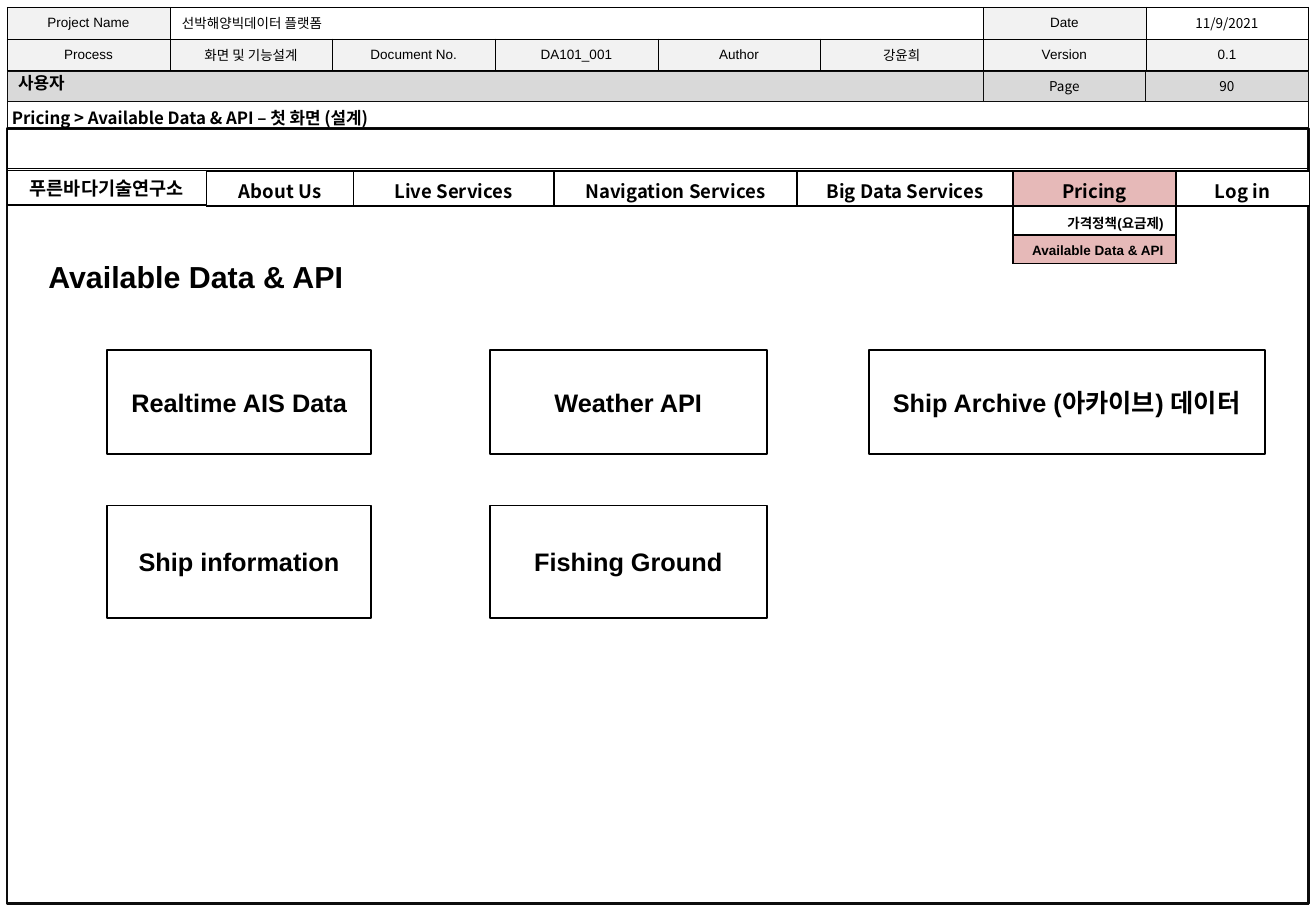
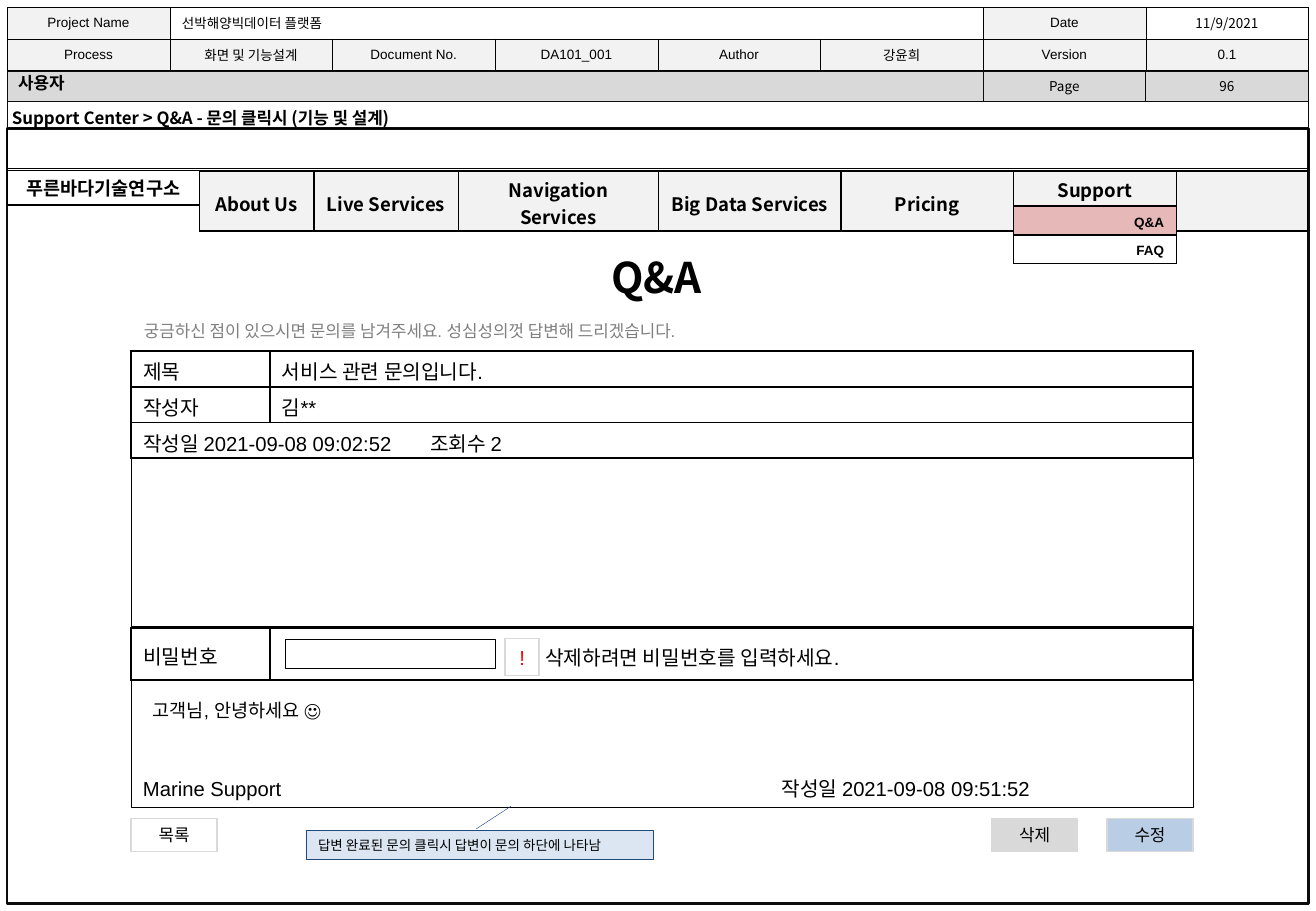
from dataclasses import dataclass

from lxml import etree
from pptx import Presentation
from pptx.dml.color import RGBColor
from pptx.enum.shapes import MSO_SHAPE
from pptx.enum.text import MSO_ANCHOR, PP_ALIGN
from pptx.oxml.ns import qn
from pptx.util import Cm, Pt

RECT, CALLOUT = MSO_SHAPE.RECTANGLE, MSO_SHAPE.LINE_CALLOUT_1
LEFT, CENTER, RIGHT, JUSTIFY = (PP_ALIGN.LEFT, PP_ALIGN.CENTER, PP_ALIGN.RIGHT,
                                PP_ALIGN.JUSTIFY)
TOP, MIDDLE = MSO_ANCHOR.TOP, MSO_ANCHOR.MIDDLE


@dataclass(frozen=True)
class Theme:
    latin: str = "Arial"
    korean: str = "Noto Sans CJK KR"
    black: str = "000000"
    frame: str = "0D0D0D"
    white: str = "FFFFFF"
    light: str = "F2F2F2"
    band: str = "D9D9D9"
    active: str = "E6B9B8"
    blue: str = "B9CDE5"
    note: str = "DCE6F2"
    note_line: str = "1F497D"
    gray: str = "808080"
    red: str = "FF0000"
    tiny: float = 8
    small: float = 10
    menu: float = 11
    menu_leading: float = 16
    body: float = 12
    card: float = 15
    heading: float = 18
    title: float = 25


T = Theme()


def style(tf, size, font=T.latin, color=T.black, bold=False, align=LEFT, leading=None):
    for p in tf.paragraphs:
        p.alignment = align
        if leading:
            p.line_spacing = Pt(leading)
        for r in p.runs:
            r.font.size = Pt(size)
            r.font.bold = bold
            r.font.color.rgb = RGBColor.from_string(color)
            r.font.name = font
            ea = etree.SubElement(r.font._element, qn("a:ea"))
            ea.set("typeface", T.korean)


def label(s, x, y, w, h, text, size, anchor=TOP, **text_style):
    tf = s.shapes.add_textbox(Cm(x), Cm(y), Cm(w), Cm(h)).text_frame
    tf.word_wrap = True
    tf.vertical_anchor = anchor
    tf.text = text
    style(tf, size, **text_style)
    return tf


def box(s, x, y, w, h, text="", size=T.small, fill=None, line=T.black, width=0.5,
        kind=RECT, anchor=MIDDLE, align=CENTER, **text_style):
    sp = s.shapes.add_shape(kind, Cm(x), Cm(y), Cm(w), Cm(h))
    sp.shadow.inherit = False
    if fill:
        sp.fill.solid()
        sp.fill.fore_color.rgb = RGBColor.from_string(fill)
    else:
        sp.fill.background()
    sp.line.color.rgb = RGBColor.from_string(line)
    sp.line.width = Pt(width)
    if text:
        tf = sp.text_frame
        tf.word_wrap = True
        tf.vertical_anchor = anchor
        tf.text = text
        style(tf, size, align=align, **text_style)
    return sp


def add_tab(p, position):
    tabs = etree.SubElement(p._p.get_or_add_pPr(), qn("a:tabLst"))
    etree.SubElement(tabs, qn("a:tab"), pos=str(Cm(position)), algn="l")


def set_borders(cell, width):
    tc_pr = cell._tc.get_or_add_tcPr()
    for side in ("a:lnL", "a:lnR", "a:lnT", "a:lnB"):
        ln = etree.SubElement(tc_pr, qn(side), w=str(Pt(width)))
        fill = etree.SubElement(ln, qn("a:solidFill"))
        etree.SubElement(fill, qn("a:srgbClr"), val=T.black)


def fill_cell(cell, color):
    if color:
        cell.fill.solid()
        cell.fill.fore_color.rgb = RGBColor.from_string(color)
    else:
        cell.fill.background()


def grid(s, x, y, cols, rows, texts, size, fill=None, border=1, pad=0.08, **text_style):
    """Add a bordered table; pad is the space above the text in a cell."""
    table = s.shapes.add_table(len(rows), len(cols), Cm(x), Cm(y),
                               Cm(sum(cols)), Cm(sum(rows))).table
    table.first_row = table.horz_banding = False
    for col, w in zip(table.columns, cols):
        col.width = Cm(w)
    for row, h, row_texts in zip(table.rows, rows, texts):
        row.height = Cm(h)
        for cell, text in zip(row.cells, row_texts):
            cell.margin_top, cell.margin_bottom = Cm(pad), 0
            cell.vertical_anchor = MIDDLE
            set_borders(cell, border)
            fill_cell(cell, fill)
            cell.text = text
            style(cell.text_frame, size, **text_style)
    return table


def document_header(s, x, y, page, breadcrumb):
    """Place the document table, the page band, the path and the screen frame."""
    w = 3.4
    band_y, band_h = y + 1.35, 0.61
    box(s, x, band_y, 8 * w, 17.4, line=T.frame, width=0.25)
    table = grid(s, x, y, [w] * 8, [0.66] * 2, [
        ["Project Name", "선박해양빅데이터 플랫폼", "", "", "", "", "Date", "11/9/2021"],
        ["Process", "화면 및 기능설계", "Document No.", "DA101_001", "Author", "강윤희",
         "Version", "0.1"],
    ], T.tiny, fill=T.light, border=0.25, pad=0, align=CENTER)
    project, date = table.cell(0, 1), table.cell(0, 7)
    project.merge(table.cell(0, 5))
    project.text_frame.paragraphs[0].alignment = LEFT
    date.text_frame.paragraphs[0].runs[0].font.name = T.korean
    for cell in (project, date):
        fill_cell(cell, None)

    band = dict(fill=T.band, line=T.frame, width=0.25, size=T.tiny, font=T.korean)
    box(s, x, band_y, 8 * w, band_h, **band)
    for col, text in ((6, "Page"), (7, page)):
        box(s, x + col * w, band_y, w, band_h, text, **band)
    box(s, x, y + 2.54, 8 * w, 16.2, fill=T.white, line=T.frame, width=1.5)
    box(s, x, y + 2.54, 8 * w, 0.84, width=0.25)
    bold = dict(size=T.small, font=T.korean, bold=True, align=JUSTIFY)
    label(s, x - 0.02, y + 1.25, 3.84, 0.69, "사용자", **bold)
    label(s, x - 0.15, y + 1.98, 22.56, 0.69, breadcrumb, **bold)


def navigation(s, x, y, brand_w, cols, bar_h, items, fill, open_item, submenu, active):
    """Place the brand, the menu bar and the submenu under the open item."""
    line_h = 0.73
    bold = dict(bold=True, font=T.korean)
    bar_x = x + brand_w
    bar = grid(s, bar_x, y, cols, [bar_h], [items], T.menu, fill=fill, align=CENTER,
               leading=T.menu_leading, **bold)
    box(s, x, y - 0.02, brand_w, line_h, "푸른바다기술연구소", T.menu, fill=T.white,
        width=0, **bold)
    menu = grid(s, bar_x + sum(cols[:open_item]), y + line_h, [cols[open_item]],
                [0.6] * len(submenu), [[text] for text in submenu], T.tiny,
                fill=T.white, bold=True, align=RIGHT)
    fill_cell(menu.cell(active, 0), T.active)
    return bar


def data_cards(s, x, y):
    label(s, x, y, 8.13, 1.02, "Available Data & API", T.heading, bold=True)
    cols = [(1.48, 5.52), (9.48, 5.79), (17.4, 8.28)]
    rows = [(2.04, 2.18), (5.29, 2.36)]
    cards = [["Realtime AIS Data", "Weather API", "Ship Archive (아카이브) 데이터"],
             ["Ship information", "Fishing Ground"]]
    for (dy, h), names in zip(rows, cards):
        for (dx, w), name in zip(cols, names):
            box(s, x + dx, y + dy, w, h, name, T.card, width=1, bold=True)


def question(s, x, y, w):
    """Place the title, the lead line and the posted question."""
    head_w = 2.9
    cols = [head_w, w - head_w]
    label(s, x + 7.29, y, 7.39, 1.32, "Q&A", T.title, font=T.korean, bold=True,
          align=CENTER)
    label(s, x + 0.02, y + 1.45, 16.79, 0.69,
          "궁금하신 점이 있으시면 문의를 남겨주세요. 성심성의껏 답변해 드리겠습니다.",
          T.small, color=T.gray)
    table = grid(s, x, y + 2.21, cols, [0.75] * 3, [
        ["제목", "서비스 관련 문의입니다."],
        ["작성자", "김**"],
        ["작성일 2021-09-08 09:02:52\t조회수 2", ""],
    ], T.body)
    posted = table.cell(2, 0)
    posted.merge(table.cell(2, 1))
    add_tab(posted.text_frame.paragraphs[0], 6)
    box(s, x, y + 4.44, w, 3.53)
    grid(s, x, y + 8, cols, [1.1], [["비밀번호", ""]], T.body)
    box(s, x + 3.23, y + 8.25, 4.39, 0.61)
    label(s, x + 8.41, y + 8.23, 7.19, 0.76, "삭제하려면 비밀번호를 입력하세요.", T.body)
    box(s, x + 7.82, y + 8.23, 0.71, 0.76, "!", T.body, line=T.band, width=0.75,
        color=T.red)


def answer(s, x, y, w):
    """Place the reply, its buttons and the note that points at it."""
    box(s, x, y, w, 2.69)
    label(s, x + 0.2, y + 0.3, 12.8, 1.19, "고객님, 안녕하세요 ☺", T.menu)
    tf = label(s, x, y + 1.9, w, 0.76, "Marine Support\t작성일 2021-09-08 09:51:52",
               T.body)
    add_tab(tf.paragraphs[0], 13.35)
    button_w = 1.8
    last = w - button_w
    for dx, text, fill in ((0, "목록", T.white), (last - 2.41, "삭제", T.band),
                           (last, "수정", T.blue)):
        box(s, x + dx, y + 2.92, button_w, 0.69, text, fill=fill, line=T.band,
            width=0.75, anchor=TOP)
    note = box(s, x + 3.66, y + 3.17, 7.26, 0.6,
               "답변 완료된 문의 클릭시 답변이 문의 하단에 나타남", T.tiny, fill=T.note,
               line=T.note_line, width=0.25, kind=CALLOUT, align=LEFT)
    for i, value in enumerate((-0.06, 0.49, -0.85, 0.59)):
        note.adjustments[i] = value


def pricing_slide(s):
    document_header(s, 0.15, 0.15, "90", "Pricing > Available Data & API – 첫 화면 (설계)")
    bar = navigation(s, 0.15, 3.58, 4.17, [3.07, 4.19, 5.08, 4.52, 3.4, 2.79], 0.73,
                     ["About Us", "Live Services", "Navigation Services",
                      "Big Data Services", "Pricing", "Log in"], T.white, 4,
                     ["가격정책(요금제)", "Available Data & API"], 1)
    fill_cell(bar.cell(0, 4), T.active)
    data_cards(s, 0.76, 5.28)


def support_slide(s):
    document_header(s, 0.15, 0.15, "96",
                    "Support Center > Q&A - 문의 클릭시 (기능 및 설계)")
    navigation(s, 0.15, 3.58, 4.02, [2.39, 3.02, 4.19, 3.81, 3.61, 3.4, 2.74], 1.25,
               ["About Us", "Live Services", "Navigation Services",
                "Big Data Services", "Pricing", "Support Center", ""], T.light, 5,
               ["Q&A", "FAQ"], 0)
    question(s, 2.74, 5.13, 22.2)
    answer(s, 2.74, 14.2, 22.2)


def main():
    prs = Presentation()
    prs.slide_width, prs.slide_height = Cm(27.51), Cm(19.05)
    for build in (pricing_slide, support_slide):
        build(prs.slides.add_slide(prs.slide_layouts[6]))
    prs.save("out.pptx")


if __name__ == "__main__":
    main()
